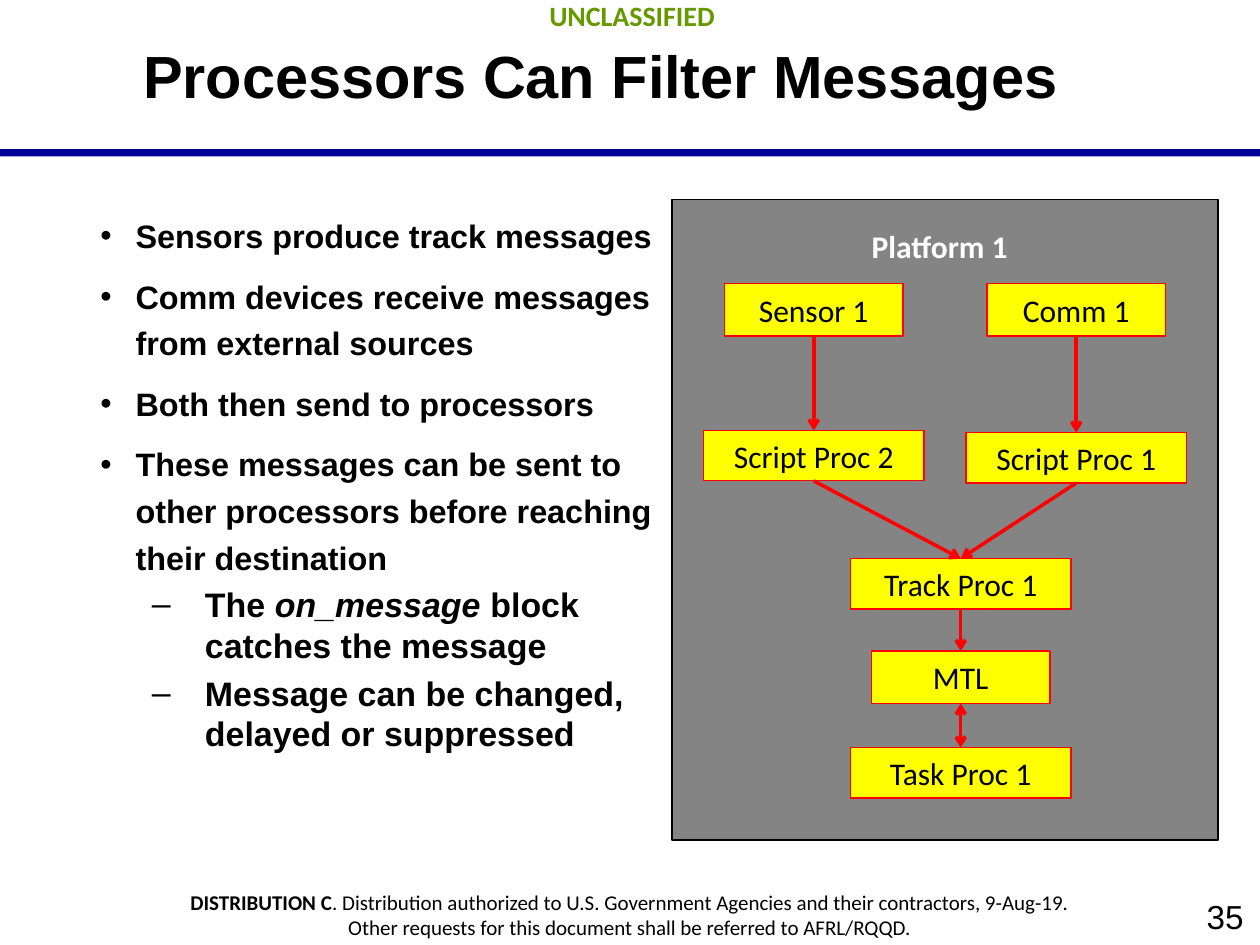
"""Build the slide on processors that filter messages, on a grid of 120 by 90 cells."""
import pptx
import pptx.util
import pptx.dml.color
import pptx.enum.shapes
import pptx.enum.text
import pptx.oxml.ns
from lxml import etree

BLACK = pptx.dml.color.RGBColor(0x00, 0x00, 0x00)
WHITE = pptx.dml.color.RGBColor(0xFF, 0xFF, 0xFF)
NAVY = pptx.dml.color.RGBColor(0x00, 0x00, 0x99)
GREEN = pptx.dml.color.RGBColor(0x66, 0x99, 0x00)
GRAY = pptx.dml.color.RGBColor(0x84, 0x84, 0x84)
YELLOW = pptx.dml.color.RGBColor(0xFF, 0xFF, 0x00)
RED = pptx.dml.color.RGBColor(0xFF, 0x00, 0x00)

COLUMNS, ROWS = 120, 90
TOP, BOTTOM = 0, 2
DEVICE, PROCESSOR = (17, 5), (21, 4.8)
SENSOR_COLUMN, COMM_COLUMN, TRACK_COLUMN = 77.5, 102.5, 91.5

NODES = [
    ("Sensor 1", SENSOR_COLUMN, 27, DEVICE),
    ("Comm 1", COMM_COLUMN, 27, DEVICE),
    ("Script Proc 2", SENSOR_COLUMN, 41, PROCESSOR),
    ("Script Proc 1", COMM_COLUMN, 41.2, PROCESSOR),
    ("Track Proc 1", TRACK_COLUMN, 53.2, PROCESSOR),
    ("MTL", TRACK_COLUMN, 62, DEVICE),
    ("Task Proc 1", TRACK_COLUMN, 71.2, PROCESSOR),
]
FLOWS = [
    ("Sensor 1", "Script Proc 2", False),
    ("Comm 1", "Script Proc 1", False),
    ("Script Proc 2", "Track Proc 1", False),
    ("Script Proc 1", "Track Proc 1", False),
    ("Track Proc 1", "MTL", False),
    ("MTL", "Task Proc 1", True),
]
POINTS = [
    "Sensors produce track messages",
    "Comm devices receive messages from external sources",
    "Both then send to processors",
    "These messages can be sent to other processors before reaching their destination",
]
SUBPOINTS = [
    [("The ", False), ("on_message", True), (" block catches the message", False)],
    [("Message can be changed, delayed or suppressed", False)],
]


def cells(*lengths):
    """Turn grid cells into slide lengths."""
    return [pptx.util.Inches(length * 10 / COLUMNS) for length in lengths]


def write(paragraph, text, size=18, font="Calibri", color=BLACK, bold=False, italic=False):
    """Add formatted text to a paragraph."""
    run = paragraph.add_run()
    run.text = text
    run.font.size = pptx.util.Pt(size)
    run.font.name = font
    run.font.color.rgb = color
    run.font.bold = bold
    run.font.italic = italic


def prepare_frame(holder, anchor=pptx.enum.text.MSO_ANCHOR.TOP, inset=(0.13, 0.07)):
    """Set wrapping, anchor and insets and return the text frame."""
    frame = holder.text_frame
    frame.word_wrap = True
    frame.auto_size = pptx.enum.text.MSO_AUTO_SIZE.NONE
    frame.vertical_anchor = anchor
    frame.margin_left = frame.margin_right = pptx.util.Inches(inset[0])
    frame.margin_top = frame.margin_bottom = pptx.util.Inches(inset[1])
    return frame


def next_paragraph(frame):
    """Return the empty first paragraph or a new one."""
    first = frame.paragraphs[0]
    return frame.add_paragraph() if first.runs else first


def add_label(slide, area, lines, align=pptx.enum.text.PP_ALIGN.CENTER, **frame_format):
    """Add a text box of lines, each a list of text and format pairs."""
    frame = prepare_frame(slide.shapes.add_textbox(*cells(*area)), **frame_format)
    for line in lines:
        paragraph = next_paragraph(frame)
        paragraph.alignment = align
        for text, text_format in line:
            write(paragraph, text, **text_format)


def add_block(slide, area, fill, outline=None, width=1):
    """Add a plain rectangle."""
    block = slide.shapes.add_shape(pptx.enum.shapes.MSO_SHAPE.RECTANGLE, *cells(*area))
    block.shadow.inherit = False
    block.fill.solid()
    block.fill.fore_color.rgb = fill
    if outline is None:
        block.line.fill.background()
    else:
        block.line.color.rgb = outline
        block.line.width = pptx.util.Pt(width)
    return block


def add_node(slide, name, center, top, size):
    """Add a named box centred on its column."""
    width, height = size
    node = add_block(slide, (center - width / 2, top, width, height), YELLOW, RED, 0.75)
    frame = prepare_frame(node, pptx.enum.text.MSO_ANCHOR.MIDDLE, (0.1, 0.05))
    frame.paragraphs[0].alignment = pptx.enum.text.PP_ALIGN.CENTER
    write(frame.paragraphs[0], name)
    return node


def add_flow(slide, sender, receiver, both_ways):
    """Connect the bottom of one node to the top of another."""
    flow = slide.shapes.add_connector(pptx.enum.shapes.MSO_CONNECTOR.STRAIGHT, 0, 0, 0, 0)
    flow.begin_connect(sender, BOTTOM)
    flow.end_connect(receiver, TOP)
    flow.line.color.rgb = RED
    flow.line.width = pptx.util.Pt(2)
    outline = flow.line._get_or_add_ln()
    for end in ("a:headEnd", "a:tailEnd") if both_ways else ("a:tailEnd",):
        etree.SubElement(outline, pptx.oxml.ns.qn(end), type="arrow")
    etree.SubElement(flow._element.spPr, pptx.oxml.ns.qn("a:effectLst"))


def add_bullet(frame, parts, mark, size, left, hanging, before, spacing, level=0):
    """Add a bulleted paragraph of text and italic pairs."""
    paragraph = next_paragraph(frame)
    properties = paragraph._p.get_or_add_pPr()
    properties.set("marL", str(pptx.util.Inches(left)))
    properties.set("indent", str(-pptx.util.Inches(hanging)))
    etree.SubElement(properties, pptx.oxml.ns.qn("a:buChar"), char=mark)
    paragraph.level = level
    paragraph.line_spacing = spacing
    paragraph.space_before = pptx.util.Pt(before if paragraph._p is not frame.paragraphs[0]._p else 0)
    for text, italic in parts:
        write(paragraph, text, size=size, font="Arial", bold=True, italic=italic)


def place(placeholder, area):
    """Move a placeholder to an area of the grid."""
    placeholder.left, placeholder.top, placeholder.width, placeholder.height = cells(*area)


def add_title(slide):
    """Fill the title placeholder."""
    title = slide.shapes.title
    place(title, (3.2, -0.4, 108, 15))
    frame = prepare_frame(title, pptx.enum.text.MSO_ANCHOR.MIDDLE)
    frame.paragraphs[0].alignment = pptx.enum.text.PP_ALIGN.CENTER
    write(frame.paragraphs[0], "Processors Can Filter Messages", size=34, font="Arial", bold=True)


def add_points(slide):
    """Fill the body placeholder with both levels of bullets."""
    body = slide.placeholders[1]
    place(body, (5, 19, 59, 59.6))
    frame = prepare_frame(body)
    for point in POINTS:
        add_bullet(frame, [(point, False)], "•", 18.5, 0.53, 0.28, 8, 1.2)
    for subpoint in SUBPOINTS:
        add_bullet(frame, subpoint, "–", 19.4, 1.08, 0.42, 4, 1.0, level=1)


def add_platform(slide):
    """Draw the platform with its nodes and message flows."""
    add_block(slide, (64, 19, 52, 61), GRAY, BLACK)
    heading = [("Platform 1", {"color": WHITE, "bold": True})]
    add_label(slide, (77, 21, 25, 4.8), [heading], inset=(0.1, 0.05))
    nodes = {node[0]: add_node(slide, *node) for node in NODES}
    for sender, receiver, both_ways in FLOWS:
        add_flow(slide, nodes[sender], nodes[receiver], both_ways)


def add_markings(slide):
    """Add the rule, classification, distribution notice and page number."""
    add_block(slide, (0, 14.2, COLUMNS, 0.7), NAVY)
    marking = [("UNCLASSIFIED", {"size": 16, "color": GREEN, "bold": True})]
    add_label(slide, (0.2, -1, COLUMNS, 4.8), [marking])
    notice = [
        [("DISTRIBUTION C", {"size": 12, "bold": True}),
         (". Distribution authorized to U.S. Government Agencies and their contractors, 9-Aug-19.",
          {"size": 12})],
        [("Other requests for this document shall be referred to AFRL/RQQD.", {"size": 12})],
    ]
    add_label(slide, (0, 83.9, COLUMNS, 6.5), notice)
    add_label(slide, (96, ROWS - 5.4, 24, 5.4), [[("35", {"size": 19, "font": "Arial"})]],
              align=pptx.enum.text.PP_ALIGN.RIGHT, anchor=pptx.enum.text.MSO_ANCHOR.MIDDLE)


def main():
    """Build and save the slide."""
    deck = pptx.Presentation()
    deck.slide_width, deck.slide_height = cells(COLUMNS, ROWS)
    slide = deck.slides.add_slide(deck.slide_layouts[1])
    add_markings(slide)
    add_title(slide)
    add_points(slide)
    add_platform(slide)
    deck.save("out.pptx")


if __name__ == "__main__":
    main()
